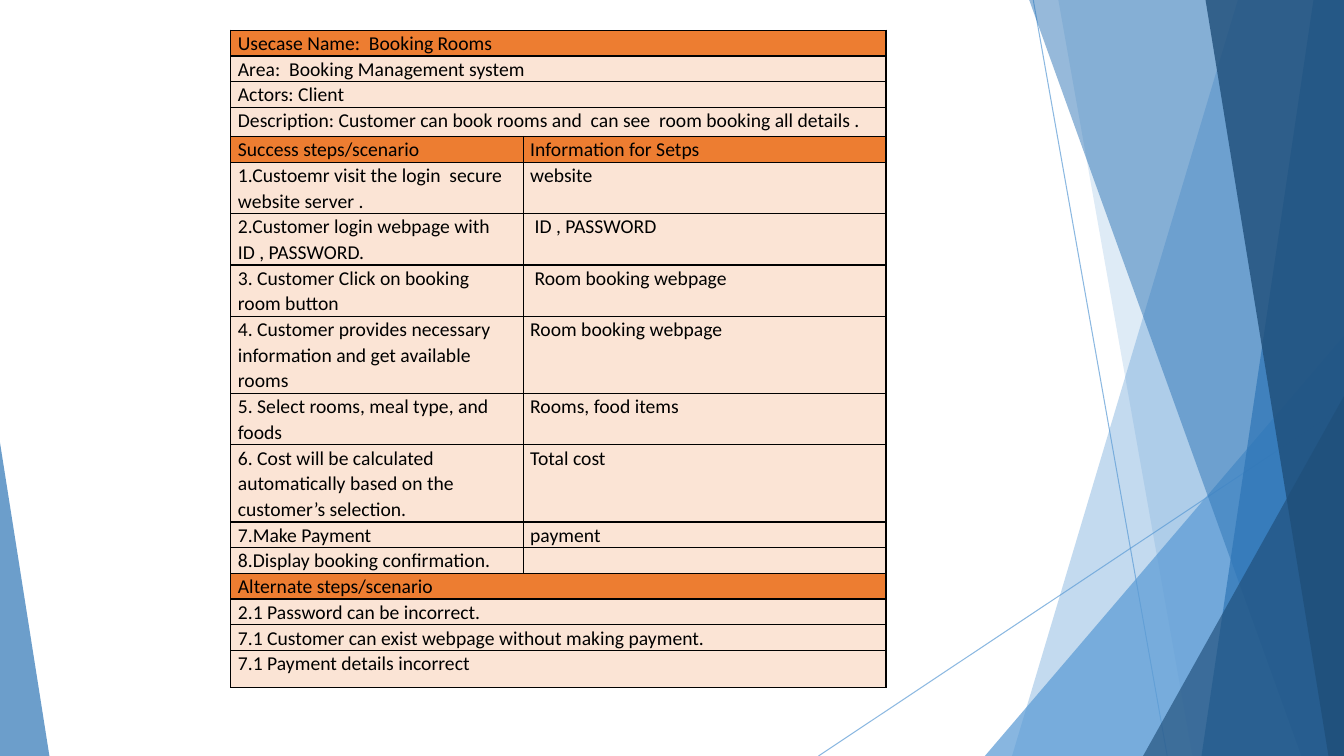
"""Build the room booking use-case slide."""
import pptx
import pptx.util
import pptx.dml.color
import pptx.enum.shapes
import pptx.oxml.ns
from lxml import etree

COLORS = {"header": "ED7D31", "body": "FBE4D5", "ink": "000000",
          "light": "5B9BD5", "mid": "2E75B6", "dark": "1F4E79"}
WIDTH, HEIGHT = pptx.util.Inches(13.333), pptx.util.Inches(7.5)
TEXT_FORMAT = {"name": "Calibri", "size": pptx.util.Pt(14)}
CELL_FORMAT = {"margin_left": pptx.util.Inches(0.07), "margin_right": pptx.util.Inches(0.07),
               "margin_top": 0, "margin_bottom": 0}
LINE_ROW = 3.4
TABLE_COLUMNS = (21.75, 27)

USE_CASE = [
    ("header", LINE_ROW, ["Usecase Name:  Booking Rooms"]),
    ("body", LINE_ROW, ["Area:  Booking Management system"]),
    ("body", LINE_ROW, ["Actors: Client"]),
    ("body", 3.87, ["Description: Customer can book rooms and  can see  room booking all details ."]),
    ("header", LINE_ROW, ["Success steps/scenario", "Information for Setps"]),
    ("body", 2 * LINE_ROW, ["1.Custoemr visit the login  secure website server .", "website"]),
    ("body", 2 * LINE_ROW, ["2.Customer login webpage with ID , PASSWORD.", " ID , PASSWORD"]),
    ("body", 2 * LINE_ROW, ["3. Customer Click on booking room button", " Room booking webpage"]),
    ("body", 3 * LINE_ROW, ["4. Customer provides necessary information and get available rooms",
                            "Room booking webpage"]),
    ("body", 2 * LINE_ROW, ["5. Select rooms, meal type, and foods", "Rooms, food items"]),
    ("body", 3 * LINE_ROW, ["6. Cost will be calculated automatically based on the customer’s selection.",
                            "Total cost"]),
    ("body", LINE_ROW, ["7.Make Payment", "payment"]),
    ("body", LINE_ROW, ["8.Display booking confirmation.", ""]),
    ("header", LINE_ROW, ["Alternate steps/scenario"]),
    ("body", LINE_ROW, ["2.1 Password can be incorrect."]),
    ("body", LINE_ROW, ["7.1 Customer can exist webpage without making payment."]),
    ("body", 4.93, ["7.1 Payment details incorrect"]),
]


def x(share):
    """Convert a percentage of the slide width to a length."""
    return pptx.util.Emu(round(WIDTH * share / 100))


def y(share):
    """Convert a percentage of the slide height to a length."""
    return pptx.util.Emu(round(HEIGHT * share / 100))


def rgb(name):
    """Look up a named colour."""
    return pptx.dml.color.RGBColor.from_string(COLORS[name])


def set_attributes(target, values):
    """Set each attribute in a dict of format values."""
    for name, value in values.items():
        setattr(target, name, value)


def add_element(parent, tag, **attributes):
    """Append a DrawingML element."""
    return etree.SubElement(parent, pptx.oxml.ns.qn(tag), attributes)


def set_opacity(sp, percent):
    """Make the solid colour of a shape or line translucent."""
    color = next(sp._element.spPr.iter(pptx.oxml.ns.qn("a:srgbClr")))
    add_element(color, "a:alpha", val=str(percent * 1000))


def paint(sp, color, opacity):
    """Give a shape a translucent fill with no outline or shadow."""
    sp.shadow.inherit = False
    sp.fill.solid()
    sp.fill.fore_color.rgb = rgb(color)
    sp.line.fill.background()
    set_opacity(sp, opacity)


def add_ray(s, start, end):
    """Draw a thin translucent line."""
    line = s.shapes.add_connector(pptx.enum.shapes.MSO_CONNECTOR.STRAIGHT,
                                  x(start[0]), y(start[1]), x(end[0]), y(end[1]))
    line.line.color.rgb = rgb("light")
    line.line.width = pptx.util.Pt(0.75)
    set_opacity(line, 70)
    add_element(line._element.spPr, "a:effectLst")


def add_band(s, top_left, bottom_left, color, opacity):
    """Draw a full-height band from a slanted edge to the right of the slide."""
    builder = s.shapes.build_freeform(x(top_left), 0)
    builder.add_line_segments([(WIDTH, 0), (WIDTH, HEIGHT), (x(bottom_left), HEIGHT)])
    paint(builder.convert_to_shape(), color, opacity)


def add_peak(s, left, top, width, apex, color, opacity):
    """Draw a triangle that stands on the bottom of the slide."""
    sp = s.shapes.add_shape(pptx.enum.shapes.MSO_SHAPE.ISOSCELES_TRIANGLE,
                            x(left), y(top), x(width), y(100 - top))
    sp.adjustments[0] = apex
    paint(sp, color, opacity)


def format_cell(cell, text, color):
    """Fill one cell with its text, colour and black borders."""
    set_attributes(cell, CELL_FORMAT)
    p = cell.text_frame.paragraphs[0]
    p.line_spacing = 1.07
    if text:
        r = p.add_run()
        r.text = text
        set_attributes(r.font, TEXT_FORMAT)
        r.font.color.rgb = rgb("ink")
    else:
        add_element(p._p, "a:endParaRPr", sz="1400")
    properties = cell._tc.get_or_add_tcPr()
    for side in ("a:lnL", "a:lnR", "a:lnT", "a:lnB"):
        border = add_element(properties, side, w="12700")
        add_element(add_element(border, "a:solidFill"), "a:srgbClr", val=COLORS["ink"])
    cell.fill.solid()
    cell.fill.fore_color.rgb = rgb(color)


def add_use_case(s, left, top):
    """Add the use-case table, merging rows that have one entry."""
    height = sum(row[1] for row in USE_CASE)
    table = s.shapes.add_table(len(USE_CASE), len(TABLE_COLUMNS), x(left), y(top),
                               x(sum(TABLE_COLUMNS)), y(height)).table
    for column, width in zip(table.columns, TABLE_COLUMNS):
        column.width = x(width)
    for i, (color, row_height, texts) in enumerate(USE_CASE):
        table.rows[i].height = y(row_height)
        if len(texts) == 1:
            table.cell(i, 0).merge(table.cell(i, 1))
        for j in range(len(TABLE_COLUMNS)):
            format_cell(table.cell(i, j), texts[j] if j < len(texts) else "", color)


def main():
    """Build and save the slide."""
    prs = pptx.Presentation()
    prs.slide_width, prs.slide_height = WIDTH, HEIGHT
    s = prs.slides.add_slide(prs.slide_layouts[6])
    add_ray(s, (76.88, 0), (86.85, 100))
    add_ray(s, (100, 53.73), (60.9, 100))
    add_band(s, 92.1, 75.3, "light", 36)
    add_band(s, 78.75, 88.73, "light", 20)
    add_peak(s, 73.28, 44.4, 26.72, 1, "light", 72)
    add_band(s, 76.58, 96.83, "mid", 50)
    add_band(s, 97.73, 89.4, "mid", 70)
    add_band(s, 89.7, 98.85, "dark", 80)
    add_peak(s, 85.05, 52.4, 14.95, 1, "dark", 66)
    add_peak(s, 0, 58.53, 3.68, 0, "mid", 70)
    add_use_case(s, 17.18, 4)
    prs.save("out.pptx")


if __name__ == "__main__":
    main()
